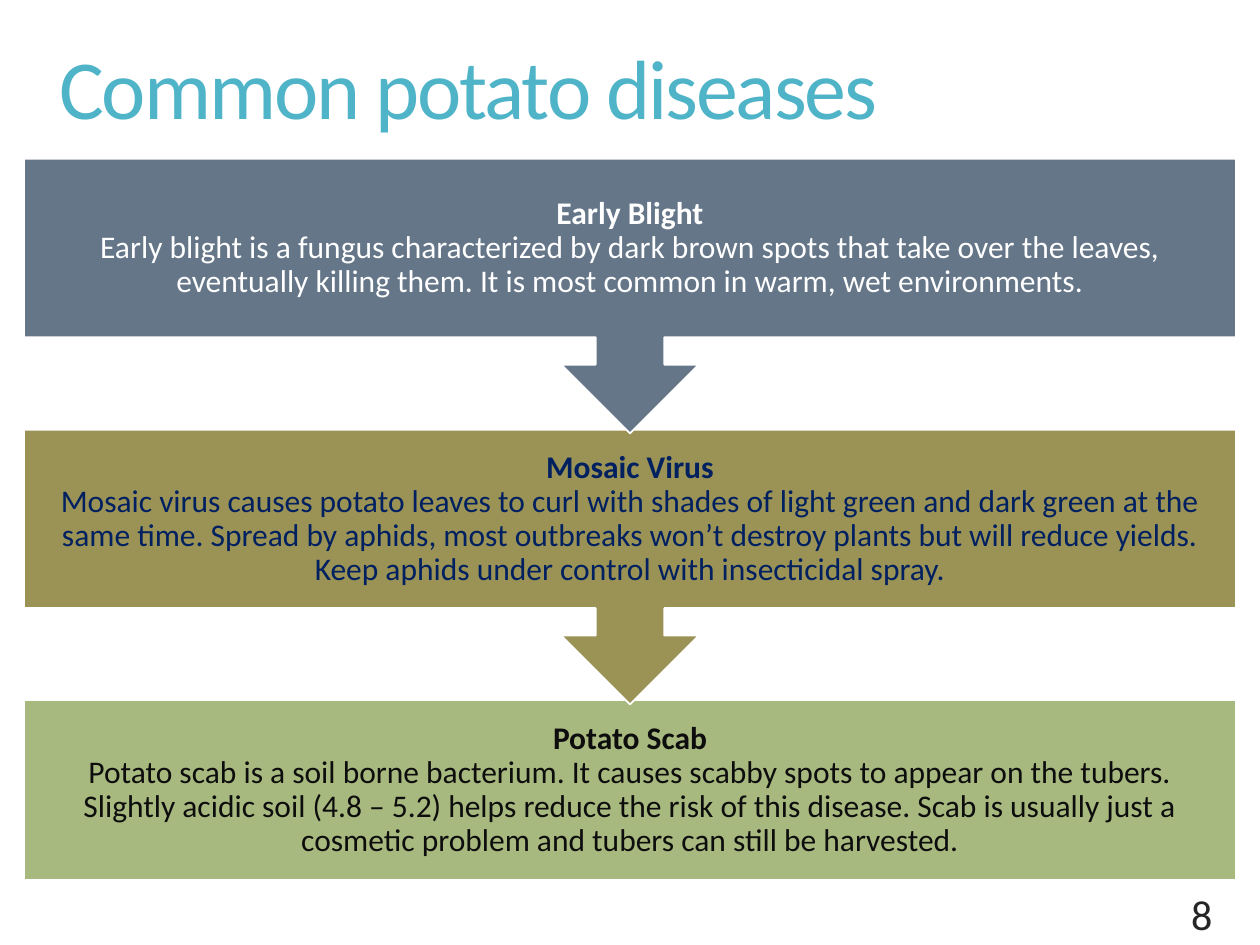
import pptx
import pptx.util
import pptx.dml.color
import pptx.enum.shapes
import pptx.enum.text

Inches, Pt = pptx.util.Inches, pptx.util.Pt
RGB = pptx.dml.color.RGBColor.from_string
SHAPE = pptx.enum.shapes.MSO_SHAPE
ALIGN = pptx.enum.text.PP_ALIGN
ANCHOR = pptx.enum.text.MSO_ANCHOR

TITLE = "Common potato diseases"
NUMBER = "8"
DISEASES = [
    ("Early Blight",
     "Early blight is a fungus characterized by dark brown spots that take over the leaves, "
     "eventually killing them. It is most common in warm, wet environments."),
    ("Mosaic Virus",
     "Mosaic virus causes potato leaves to curl with shades of light green and dark green at the "
     "same time. Spread by aphids, most outbreaks won’t destroy plants but will reduce yields. "
     "Keep aphids under control with insecticidal spray."),
    ("Potato Scab",
     "Potato scab is a soil borne bacterium. It causes scabby spots to appear on the tubers. "
     "Slightly acidic soil (4.8 – 5.2) helps reduce the risk of this disease. Scab is usually just a "
     "cosmetic problem and tubers can still be harvested."),
]
THEME = {
    "font": "Calibri",
    "title": (48, "50B4C8"),
    "number": (24, "262626"),
    "body": 18,
    "line": "FFFFFF",
    "steps": [("657689", "FFFFFF"), ("9B9256", "002060"), ("A8B97F", "0D0D0D")],
}
WIDTH, HEIGHT = 10, 7.5
MARGIN, TOP, PITCH = 0.19, 1.26, 2.15
CALLOUT_H, BOX_H, INSET = 2.18, 1.42, 0.14


def add_run(p, text, size, color, bold=False):
    r = p.add_run()
    r.text = text
    r.font.name = THEME["font"]
    r.font.size = Pt(size)
    r.font.bold = bold
    r.font.color.rgb = RGB(color)
    return r


def add_step(s, row, name, description):
    fill, ink = THEME["steps"][row]
    last = row == len(DISEASES) - 1
    kind, height = (SHAPE.RECTANGLE, BOX_H) if last else (SHAPE.DOWN_ARROW_CALLOUT, CALLOUT_H)
    sp = s.shapes.add_shape(kind, Inches(MARGIN), Inches(TOP + row * PITCH),
                            Inches(WIDTH - 2 * MARGIN), Inches(height))
    sp.shadow.inherit = False
    sp.fill.solid()
    sp.fill.fore_color.rgb = RGB(fill)
    sp.line.color.rgb = RGB(THEME["line"])
    sp.line.width = Pt(1)
    tf = sp.text_frame
    tf.word_wrap = True
    tf.vertical_anchor = ANCHOR.MIDDLE
    tf.margin_left = tf.margin_right = tf.margin_top = tf.margin_bottom = Inches(INSET)
    p = tf.paragraphs[0]
    p.alignment = ALIGN.CENTER
    p.line_spacing = 0.9
    add_run(p, name, THEME["body"], ink, True)
    p.add_line_break()
    add_run(p, description, THEME["body"], ink)


def main():
    prs = pptx.Presentation()
    prs.slide_width, prs.slide_height = Inches(WIDTH), Inches(HEIGHT)
    s = prs.slides.add_slide(prs.slide_layouts[5])

    title = s.shapes.title
    title.left, title.top = Inches(0.37), Inches(0.21)
    title.width, title.height = Inches(7.25), Inches(1.04)
    tf = title.text_frame
    tf.auto_size = pptx.enum.text.MSO_AUTO_SIZE.NONE
    tf.vertical_anchor = ANCHOR.MIDDLE
    p = tf.paragraphs[0]
    p.alignment = ALIGN.LEFT
    p.line_spacing = 0.9
    r = add_run(p, TITLE, *THEME["title"])
    r.font._element.set("spc", "-120")

    for row, disease in reversed(list(enumerate(DISEASES))):
        add_step(s, row, *disease)

    number = s.shapes.add_textbox(Inches(7.32), Inches(5.95), Inches(2.4), Inches(1.55))
    tf = number.text_frame
    tf.word_wrap = True
    tf.vertical_anchor = ANCHOR.BOTTOM
    p = tf.paragraphs[0]
    p.alignment = ALIGN.RIGHT
    add_run(p, NUMBER, *THEME["number"])

    prs.save("out.pptx")


if __name__ == "__main__":
    main()
